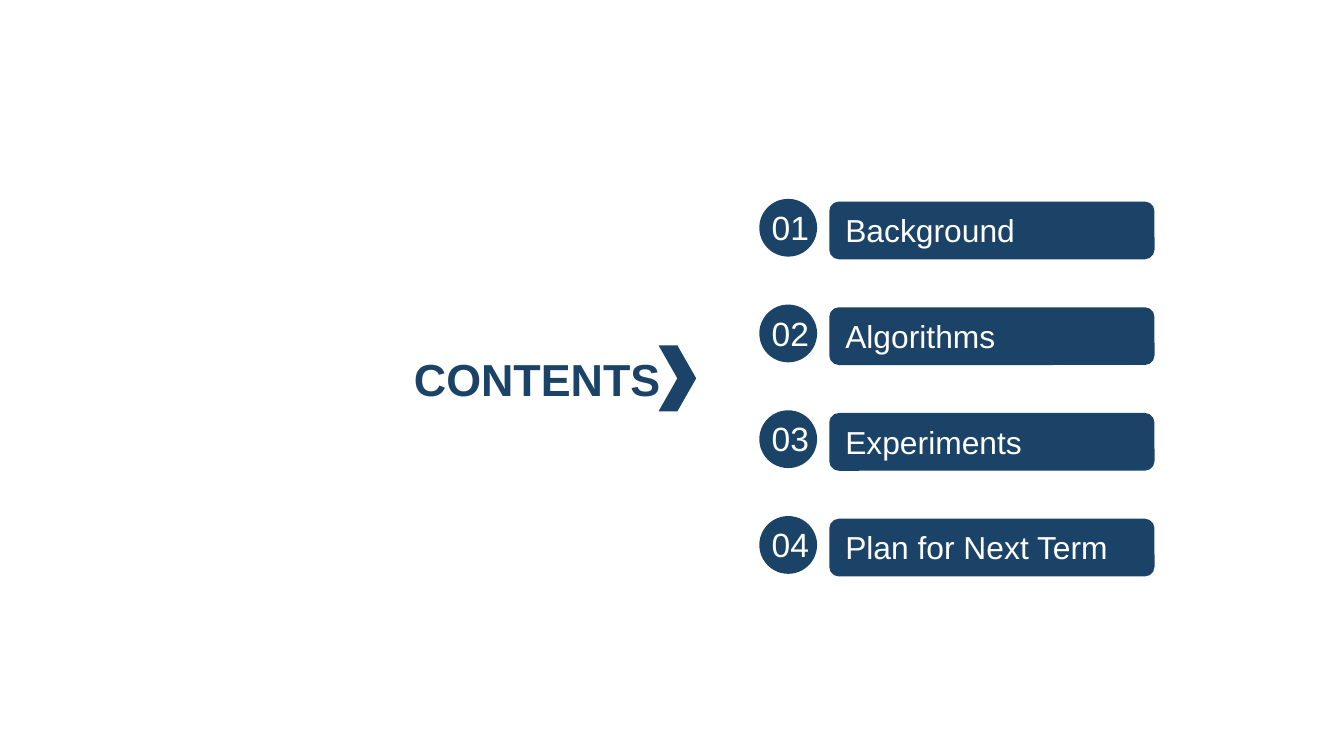
from dataclasses import dataclass

import pptx
import pptx.dml.color
import pptx.enum.shapes
import pptx.enum.text
import pptx.util

Inches = pptx.util.Inches
RGBColor = pptx.dml.color.RGBColor
Shape = pptx.enum.shapes.MSO_SHAPE
Align = pptx.enum.text.PP_ALIGN
Anchor = pptx.enum.text.MSO_ANCHOR

NAVY = RGBColor(0x1B, 0x43, 0x67)
WHITE = RGBColor(0xFF, 0xFF, 0xFF)
FONT = "Arial"

SLIDE_WIDTH = 10
SLIDE_HEIGHT = SLIDE_WIDTH * 9 / 16
SECTION_NAMES = ["Background", "Algorithms", "Experiments", "Plan for Next Term"]
FIRST_TOP = 1.48
LAST_TOP = 3.84
ROW_PITCH = (LAST_TOP - FIRST_TOP) / (len(SECTION_NAMES) - 1)
ROW_HEIGHT = 0.43


@dataclass(frozen=True)
class Section:
    number: int
    name: str

    @property
    def top(self) -> float:
        return FIRST_TOP + (self.number - 1) * ROW_PITCH


SECTIONS = [Section(number, name) for number, name in enumerate(SECTION_NAMES, start=1)]


def write_text(shape, text: str, *, size: float, color: RGBColor,
               bold: bool = False, align=Align.LEFT, anchor=Anchor.TOP) -> None:
    frame = shape.text_frame
    frame.word_wrap = True
    frame.auto_size = pptx.enum.text.MSO_AUTO_SIZE.NONE
    frame.vertical_anchor = anchor
    paragraph = frame.paragraphs[0]
    paragraph.alignment = align
    run = paragraph.add_run()
    run.text = text
    run.font.name = FONT
    run.font.size = pptx.util.Pt(size)
    run.font.bold = bold
    run.font.color.rgb = color


def add_navy_shape(shapes, preset, left: float, top: float,
                   width: float, height: float):
    shape = shapes.add_shape(
        preset, Inches(left), Inches(top), Inches(width), Inches(height)
    )
    shape.shadow.inherit = False
    shape.fill.solid()
    shape.fill.fore_color.rgb = NAVY
    shape.line.fill.background()
    return shape


def add_section(slide, section: Section) -> None:
    bar = add_navy_shape(slide.shapes, Shape.ROUNDED_RECTANGLE,
                         6.17, section.top + 0.02, 2.42, ROW_HEIGHT)
    write_text(bar, section.name, size=17, color=WHITE)

    badge = slide.shapes.add_group_shape()
    add_navy_shape(badge.shapes, Shape.OVAL, 5.65, section.top, ROW_HEIGHT, ROW_HEIGHT)
    numeral = badge.shapes.add_textbox(
        Inches(5.62), Inches(section.top + 0.01), Inches(0.52), Inches(0.4)
    )
    write_text(numeral, f"{section.number:02d}", size=18, color=WHITE, align=Align.CENTER)


def add_heading(slide) -> None:
    heading = slide.shapes.title
    heading.left, heading.top = Inches(2.98), Inches(2.57)
    heading.width, heading.height = Inches(2.31), Inches(0.5)
    write_text(heading, "CONTENTS", size=24, color=NAVY, bold=True)
    add_navy_shape(slide.shapes, Shape.CHEVRON, 4.9, 2.57, 0.28, 0.49)


def main() -> None:
    presentation = pptx.Presentation()
    presentation.slide_width = Inches(SLIDE_WIDTH)
    presentation.slide_height = Inches(SLIDE_HEIGHT)
    slide = presentation.slides.add_slide(presentation.slide_layouts[5])
    add_heading(slide)
    for section in SECTIONS:
        add_section(slide, section)
    presentation.save("out.pptx")


if __name__ == "__main__":
    main()
